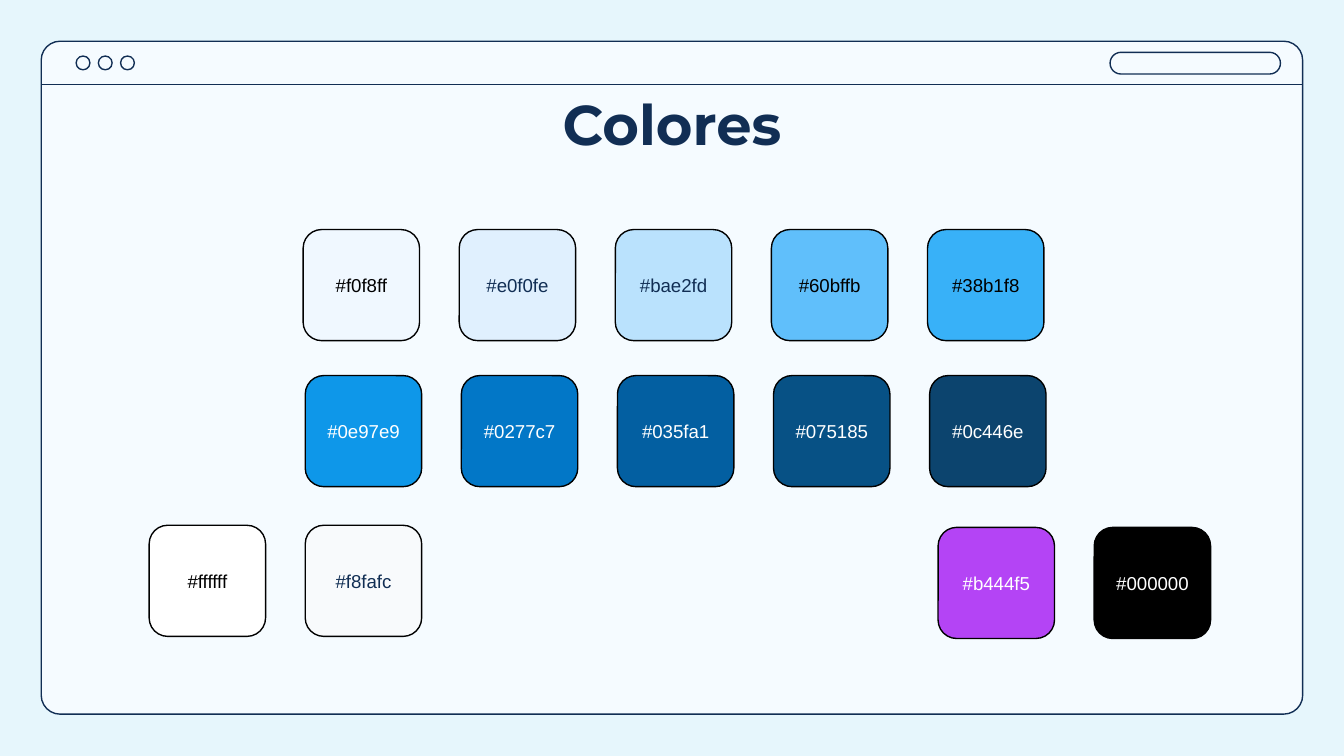
from lxml import etree
from pptx import Presentation
from pptx import util as u
from pptx.dml import color
from pptx.enum import shapes, text
from pptx.oxml import ns

Cm, SHAPE = u.Cm, shapes.MSO_SHAPE
NAVY, BLACK, WHITE = "112E54", "000000", "FFFFFF"


def paint(fmt, hex_color):
    fmt.solid()
    fmt.fore_color.rgb = color.RGBColor.from_string(hex_color)


prs = Presentation()
prs.slide_width, prs.slide_height = Cm(25.4), Cm(14.29)
s = prs.slides.add_slide(prs.slide_layouts[6])
paint(s.background.fill, "E6F6FC")


def add_box(kind, x, y, w, h, line, fill=None, adj=None):
    sp = s.shapes.add_shape(kind, Cm(x), Cm(y), Cm(w), Cm(h))
    sp.shadow.inherit = False
    paint(sp.line.fill, line)
    sp.line.width = u.Pt(0.75)
    if fill:
        paint(sp.fill, fill)
    else:
        sp.fill.background()
    if adj is not None:
        sp.adjustments[0] = adj


def add_label(x, y, w, h, words, font, size, hex_color, anchor, bold=False):
    tf = s.shapes.add_textbox(Cm(x), Cm(y), Cm(w), Cm(h)).text_frame
    tf.word_wrap = True
    tf.vertical_anchor = anchor
    tf.margin_left = tf.margin_right = tf.margin_top = tf.margin_bottom = Cm(0.25)
    p = tf.paragraphs[0]
    p.alignment = text.PP_ALIGN.CENTER
    r = p.add_run()
    r.text = words
    r.font.name, r.font.size, r.font.bold = font, u.Pt(size), bold
    paint(r.font.fill, hex_color)


# Browser window: frame, buttons, address bar, divider
add_box(SHAPE.ROUNDED_RECTANGLE, 0.78, 0.78, 23.84, 12.72, NAVY, "F5FBFF", 0.028)
for i in range(3):
    add_box(SHAPE.OVAL, 1.44 + i * 0.42, 1.06, 0.26, 0.26, NAVY)
add_box(SHAPE.ROUNDED_RECTANGLE, 20.98, 0.99, 3.22, 0.41, NAVY, adj=0.5)
cx = s.shapes.add_connector(shapes.MSO_CONNECTOR.STRAIGHT,
                            Cm(0.78), Cm(1.6), Cm(24.62), Cm(1.6))
paint(cx.line.fill, NAVY)
cx.line.width = u.Pt(0.75)
etree.SubElement(cx._element.spPr, ns.qn("a:effectLst"))

# Title
add_label(2, 1.45, 21.4, 1.6, "Colores", "Montserrat", 30, NAVY,
          text.MSO_ANCHOR.TOP, bold=True)

# Swatches: each row has a left, a top and (fill, text colour) pairs
rows = [
    (5.73, 4.34, [("f0f8ff", BLACK), ("e0f0fe", NAVY), ("bae2fd", NAVY),
                  ("60bffb", BLACK), ("38b1f8", BLACK)]),
    (5.77, 7.1, [(c, WHITE) for c in
                 ("0e97e9", "0277c7", "035fa1", "075185", "0c446e")]),
    (2.82, 9.93, [("ffffff", BLACK), ("f8fafc", NAVY)]),
    (17.73, 9.97, [("b444f5", WHITE), ("000000", WHITE)]),
]
width, height, pitch, label_height = 2.2, 2.1, 2.95, 1.22
for left, top, swatches in rows:
    for i, (fill, ink) in enumerate(swatches):
        x = left + i * pitch
        add_box(SHAPE.ROUNDED_RECTANGLE, x, top, width, height, BLACK, fill, 0.167)
        add_label(x, top + (height - label_height) / 2, width, label_height,
                  "#" + fill, "Arial", 10, ink, text.MSO_ANCHOR.MIDDLE)

prs.save("out.pptx")
